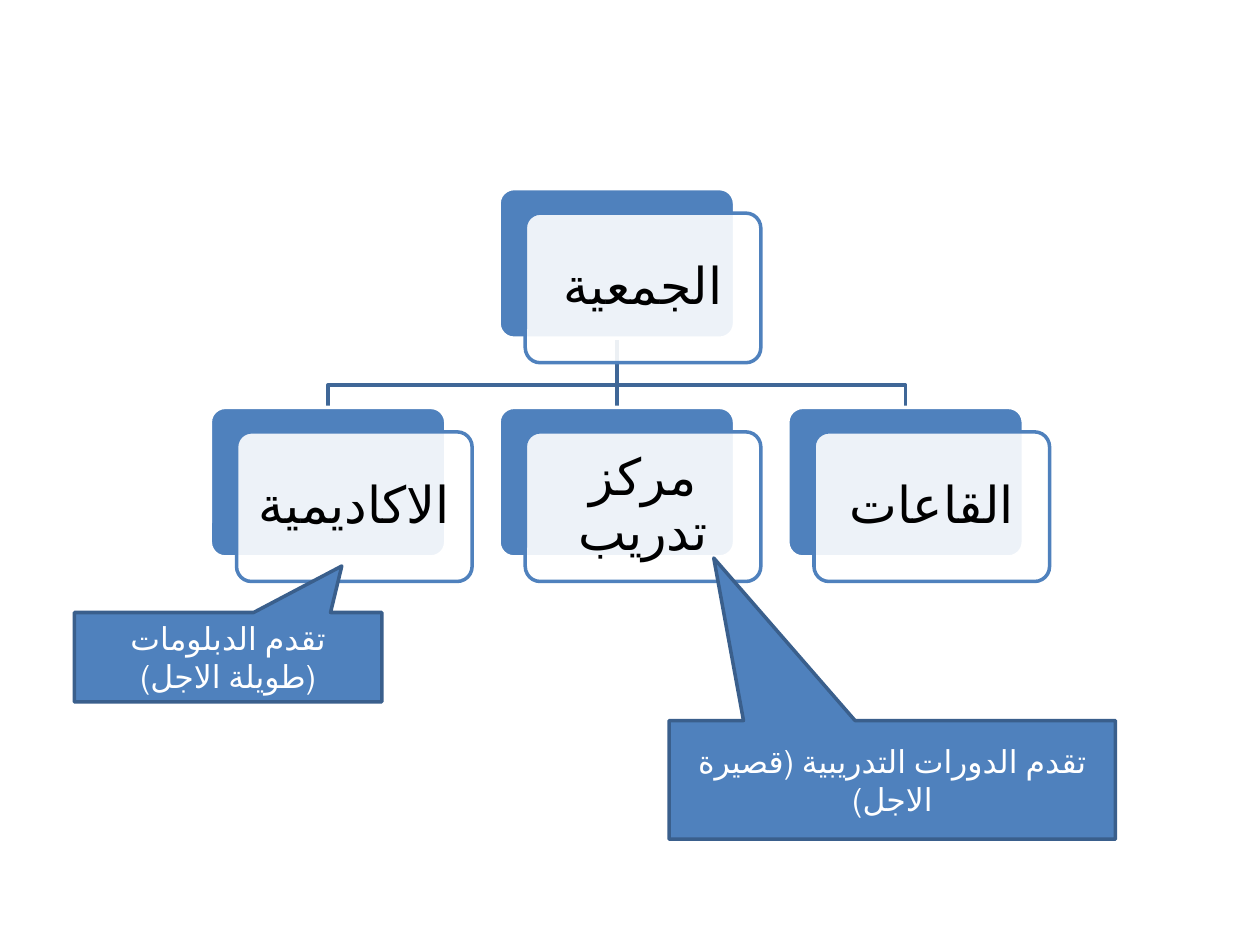
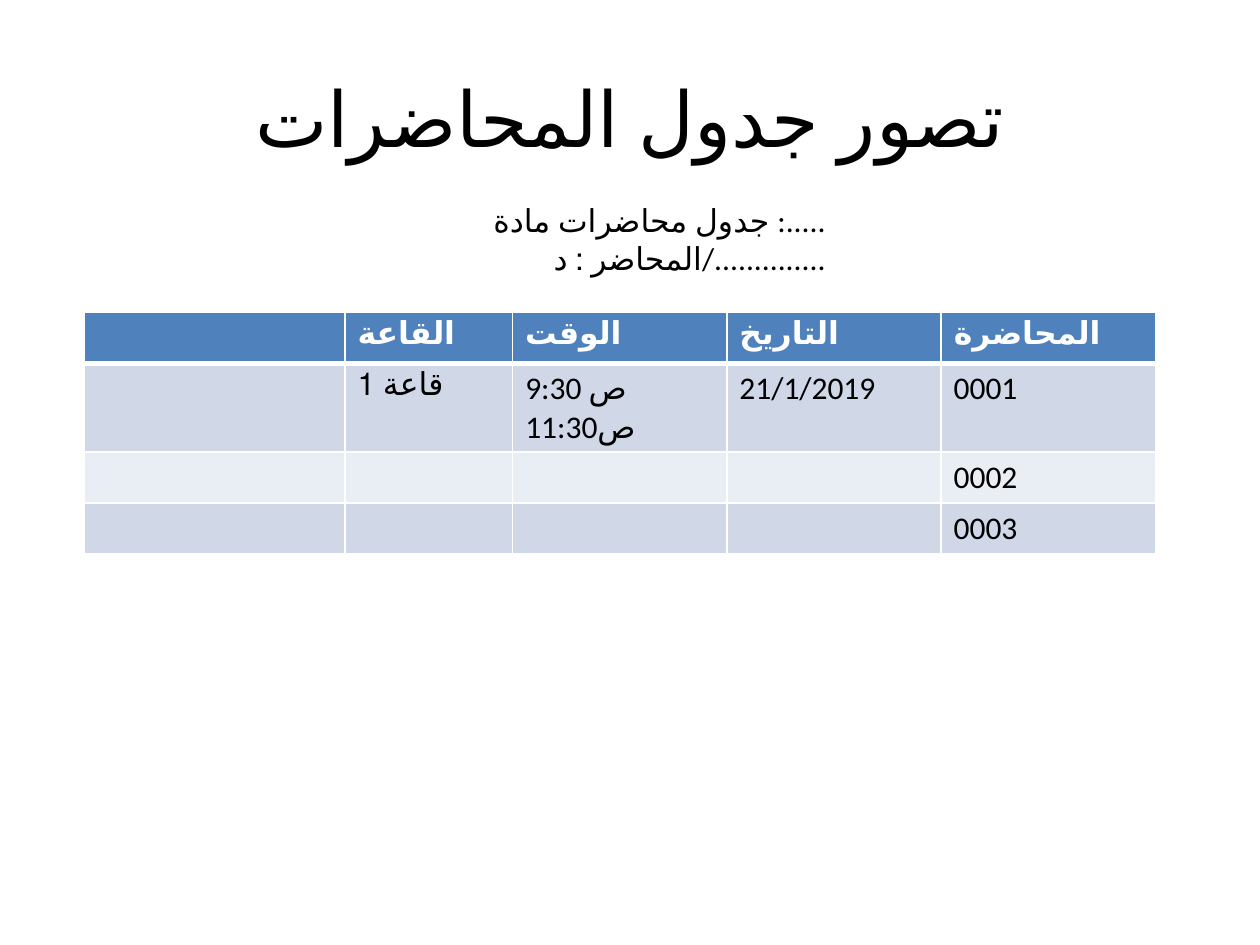
from dataclasses import dataclass

from lxml import etree
from pptx import Presentation
from pptx.dml.color import RGBColor
from pptx.enum.lang import MSO_LANGUAGE_ID
from pptx.enum.shapes import MSO_CONNECTOR, MSO_SHAPE
from pptx.enum.text import MSO_ANCHOR, PP_ALIGN
from pptx.oxml.ns import qn
from pptx.util import Pt

ROUNDED, CALLOUT = MSO_SHAPE.ROUNDED_RECTANGLE, MSO_SHAPE.RECTANGULAR_CALLOUT
STRAIGHT = MSO_CONNECTOR.STRAIGHT
LEFT, CENTER, RIGHT = PP_ALIGN.LEFT, PP_ALIGN.CENTER, PP_ALIGN.RIGHT
TOP, MIDDLE = MSO_ANCHOR.TOP, MSO_ANCHOR.MIDDLE
ARABIC = MSO_LANGUAGE_ID.ARABIC

# Shared look
FONT = "Calibri"
BLACK, WHITE = "000000", "FFFFFF"
BLUE, BRANCH_BLUE, CALLOUT_EDGE = "4F81BD", "3F6797", "3A5F8C"
BAND_DARK, BAND_LIGHT = "D0D8E8", "E9EDF4"
BODY_SIZE, TITLE_SIZE, CARD_SIZE = 18, 44, 29
LINE_WIDTH = 2

# Organisation chart grid, in points
CARD_W, CARD_H = 134.6, 85.5
FRONT_DX, FRONT_DY = 15, 14
CARD_STEP = 165
ROOT_LEFT, ROOT_TOP = 285.2, 107.8
CHILD_TOP, BEND_Y = 232.8, 220


@dataclass
class Box:
    left: float
    top: float
    width: float
    height: float

    def lengths(self):
        return Pt(self.left), Pt(self.top), Pt(self.width), Pt(self.height)


@dataclass
class Callout:
    text: str
    box: Box
    tip: tuple[float, float]


def rgb(colour: str) -> RGBColor:
    return RGBColor.from_string(colour)


def write(frame, text: str, size: float, colour: str, align=LEFT,
          anchor=TOP, bold: bool = False) -> None:
    frame.text = text
    frame.word_wrap = True
    frame.vertical_anchor = anchor
    for paragraph in frame.paragraphs:
        paragraph.alignment = align
        for run in paragraph.runs:
            run.font.name, run.font.size, run.font.bold = FONT, Pt(size), bold
            run.font.language_id = ARABIC
            run.font.color.rgb = rgb(colour)


def set_line(line, colour: str) -> None:
    line.color.rgb = rgb(colour)
    line.width = Pt(LINE_WIDTH)


def add_filled(slide, preset, box: Box, fill: str, edge: str):
    shape = slide.shapes.add_shape(preset, *box.lengths())
    shape.shadow.inherit = False
    shape.fill.solid()
    shape.fill.fore_color.rgb = rgb(fill)
    set_line(shape.line, edge)
    return shape


def add_card(slide, text: str, left: float, top: float) -> None:
    back = add_filled(slide, ROUNDED, Box(left, top, CARD_W, CARD_H), BLUE, WHITE)
    front_box = Box(left + FRONT_DX, top + FRONT_DY, CARD_W, CARD_H)
    front = add_filled(slide, ROUNDED, front_box, WHITE, BLUE)
    back.adjustments[0] = front.adjustments[0] = 0.1
    fill_colour = front.fill._xPr.find(qn("a:solidFill"))[0]
    etree.SubElement(fill_colour, qn("a:alpha"), val="90000")
    frame = front.text_frame
    frame.margin_left = frame.margin_right = Pt(8.7)
    frame.margin_top = frame.margin_bottom = Pt(8.7)
    write(frame, text, CARD_SIZE, BLACK, CENTER, MIDDLE)
    frame.paragraphs[0].line_spacing = 0.9


def add_branch(slide, child_left: float) -> None:
    root_x, child_x = ROOT_LEFT + CARD_W / 2, child_left + CARD_W / 2
    start_y = ROOT_TOP + CARD_H
    if child_left == ROOT_LEFT:
        branch = slide.shapes.add_connector(
            STRAIGHT, Pt(root_x), Pt(start_y), Pt(child_x), Pt(CHILD_TOP))
        etree.SubElement(branch.line._get_or_add_ln().getparent(), qn("a:effectLst"))
    else:
        outline = slide.shapes.build_freeform(Pt(root_x), Pt(start_y))
        bends = [(root_x, BEND_Y), (child_x, BEND_Y), (child_x, CHILD_TOP)]
        outline.add_line_segments([(Pt(x), Pt(y)) for x, y in bends], close=False)
        branch = outline.convert_to_shape()
        branch.fill.background()
        branch.shadow.inherit = False
    set_line(branch.line, BRANCH_BLUE)


def add_callout(slide, callout: Callout) -> None:
    shape = add_filled(slide, CALLOUT, callout.box, BLUE, CALLOUT_EDGE)
    shape.adjustments[0], shape.adjustments[1] = callout.tip
    write(shape.text_frame, callout.text, BODY_SIZE, WHITE, CENTER, MIDDLE)
    shape.text_frame.paragraphs[0]._p.get_or_add_pPr().set("rtl", "1")


def add_text(slide, text: str, box: Box, size: float, align, anchor) -> None:
    label = slide.shapes.add_textbox(*box.lengths())
    write(label.text_frame, text, size, BLACK, align, anchor)


def set_borders(cell, top: float, bottom: float) -> None:
    properties = cell._tc.get_or_add_tcPr()
    sides = [("L", 1), ("R", 1), ("T", top), ("B", bottom)]
    for position, (side, width) in enumerate(sides):
        line = etree.Element(qn(f"a:ln{side}"), w=str(Pt(width)))
        fill = etree.SubElement(line, qn("a:solidFill"))
        etree.SubElement(fill, qn("a:srgbClr"), val=WHITE)
        properties.insert(position, line)


def add_schedule(slide, rows: list[list[str]], widths: list[float], box: Box) -> None:
    table = slide.shapes.add_table(len(rows), len(widths), *box.lengths()).table
    for column, width in zip(table.columns, widths):
        column.width = Pt(width)
    for r, texts in enumerate(rows):
        table.rows[r].height = Pt(29.2)
        header = r == 0
        fill = BLUE if header else BAND_DARK if r % 2 else BAND_LIGHT
        for c, text in enumerate(texts):
            cell = table.cell(r, c)
            cell.fill.solid()
            cell.fill.fore_color.rgb = rgb(fill)
            set_borders(cell, 3 if r == 1 else 1, 3 if header else 1)
            if text:
                write(cell.text_frame, text, BODY_SIZE,
                      WHITE if header else BLACK, bold=header)


presentation = Presentation()
presentation.slide_width, presentation.slide_height = Pt(720), Pt(540)
blank = presentation.slide_layouts[6]

# Slide 1: organisation chart with two callouts
organisation = presentation.slides.add_slide(blank)
departments = ["الاكاديمية", "مركز تدريب", "القاعات"]
department_lefts = [ROOT_LEFT + (i - 1) * CARD_STEP for i in range(len(departments))]
for department_left in reversed(department_lefts):
    add_branch(organisation, department_left)
add_card(organisation, "الجمعية", ROOT_LEFT, ROOT_TOP)
for department, department_left in zip(departments, department_lefts):
    add_card(organisation, department, department_left, CHILD_TOP)

services = [
    Callout("تقدم الدبلومات (طويلة الاجل)", Box(42.5, 350, 175.7, 51.1), (0.37, -1.02)),
    Callout("تقدم الدورات التدريبية (قصيرة الاجل)", Box(382.4, 411.8, 255, 67.8),
            (-0.4, -1.87)),
]
for service in services:
    add_callout(organisation, service)

# Slide 2: lecture schedule
lectures = presentation.slides.add_slide(blank)
add_text(lectures, "تصور جدول المحاضرات", Box(36, 21.6, 648, 90),
         TITLE_SIZE, CENTER, MIDDLE)
schedule = [
    ["", "القاعة", "الوقت", "التاريخ", "المحاضرة"],
    ["", "قاعة 1", "9:30 ص\n11:30ص", "21/1/2019", "0001"],
    ["", "", "", "", "0002"],
    ["", "", "", "", "0003"],
]
add_schedule(lectures, schedule, [149, 95.8, 122.4, 122.4, 122.4],
             Box(48.2, 178.6, 612, 116.8))
add_text(lectures, "جدول محاضرات مادة :.....\nالمحاضر : د/..............",
         Box(218.2, 111.6, 260.6, 50.9), BODY_SIZE, RIGHT, TOP)

presentation.save("out.pptx")
